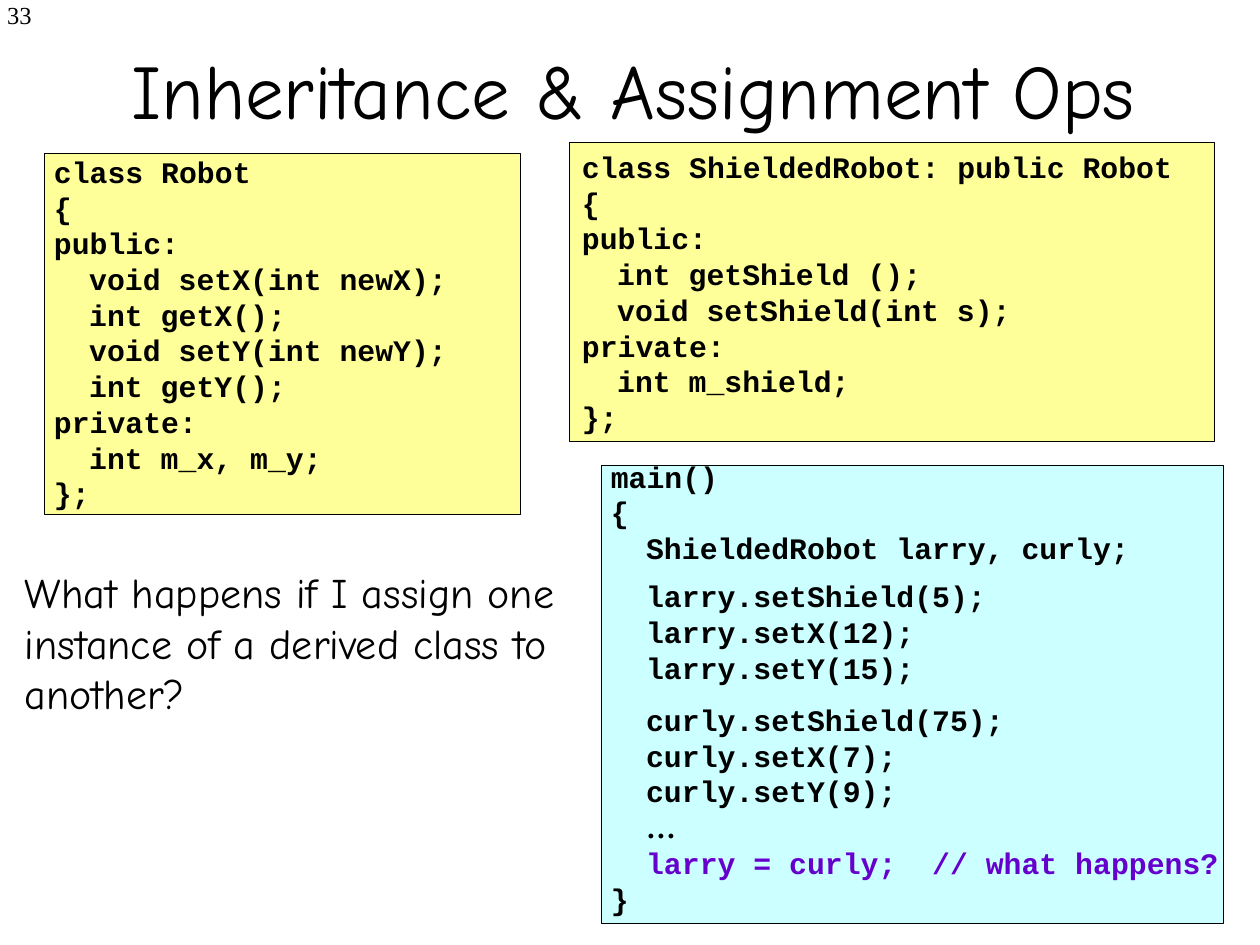
from dataclasses import dataclass

from pptx import Presentation
from pptx.dml.color import RGBColor
from pptx.enum import shapes, text
from pptx.util import Inches, Pt

HUES = {"ink": "000000", "class": "FFFF99", "main": "CCFFFF", "call": "6600CC"}
CODE, HAND, SERIF = "Courier New", "Comic Neue", "Times New Roman"
STEP = 0.28  # one code indent: two characters


@dataclass
class Line:
    words: str
    deep: int = 0
    gap: float = 0
    hue: str = "ink"
    font: str = CODE


@dataclass
class Panel:
    hue: str
    box: tuple
    area: tuple
    lines: list


def hue(name: str) -> RGBColor:
    return RGBColor.from_string(HUES[name])


def write(para, words: str, size: float, font: str,
          bold: bool = False, tint: str = "ink") -> None:
    run = para.add_run()
    run.text = words
    run.font.size, run.font.name, run.font.bold = Pt(size), font, bold
    run.font.color.rgb = hue(tint)


def label(home, area: tuple):
    frame = home.add_textbox(*map(Inches, area)).text_frame
    frame.word_wrap = True
    return frame


def code(frame, lines: list) -> None:
    for i, line in enumerate(lines):
        para = frame.add_paragraph() if i else frame.paragraphs[0]
        para.alignment = text.PP_ALIGN.LEFT
        para.space_before = Pt(line.gap)
        if line.deep:
            props = para._p.get_or_add_pPr()
            props.set("marL", str(Inches(STEP * line.deep)))
            props.set("indent", "0")
        write(para, line.words, 17, line.font, True, line.hue)


def draw(home, panel: Panel) -> None:
    rect = home.add_shape(shapes.MSO_SHAPE.RECTANGLE, *map(Inches, panel.box))
    rect.shadow.inherit = False
    rect.fill.solid()
    rect.fill.fore_color.rgb = hue(panel.hue)
    rect.line.color.rgb = hue("ink")
    rect.line.width = Pt(0.25)
    frame = label(home, panel.area) if panel.area else rect.text_frame
    code(frame, panel.lines)


deck = Presentation()
deck.slide_width, deck.slide_height = Inches(10), Inches(7.5)
slide = deck.slides.add_slide(deck.slide_layouts[5])

# Title
title = slide.shapes.title
title.left, title.top, title.width, title.height = map(
    Inches, (0.67, 0.08, 8.92, 1.25))
title.text_frame.vertical_anchor = text.MSO_ANCHOR.MIDDLE
head = title.text_frame.paragraphs[0]
head.alignment = text.PP_ALIGN.CENTER
write(head, "Inheritance & Assignment Ops ", 44, HAND)

# Page number
page = label(slide.shapes, (0, 0, 0.35, 0.3))
page.margin_left = page.margin_top = 0
page.paragraphs[0].alignment = text.PP_ALIGN.RIGHT
write(page.paragraphs[0], "33", 14, SERIF)

# Question
ask = label(slide.shapes, (0.1, 4.45, 4.6, 1.3))
write(ask.paragraphs[0], "What happens if I assign one instance of a "
      "derived class to another?", 24, HAND)

# Code panels
robot = Panel("class", (0.35, 1.22, 3.78, 2.86), (0.33, 1.17, 4.42, 2.93), [
    Line("class Robot"), Line("{"), Line("public:"),
    Line("void setX(int newX);", 1), Line("int getX();", 1),
    Line("void setY(int newY);", 1), Line("int getY();", 1),
    Line("private:"), Line("int m_x, m_y;", 1), Line("};")])
main = Panel("main", (4.77, 3.69, 4.94, 3.64), (4.75, 3.59, 5.34, 3.73), [
    Line("main()"), Line("{"), Line("ShieldedRobot larry, curly;", 1),
    Line("larry.setShield(5);", 1, 7), Line("larry.setX(12);", 1),
    Line("larry.setY(15);", 1),
    Line("curly.setShield(75);", 1, 9.5), Line("curly.setX(7);", 1),
    Line("curly.setY(9);", 1), Line("…", 1, font=SERIF),
    Line("larry = curly;  // what happens?", 1, hue="call"), Line("}")])
shield = Panel("class", (4.52, 1.13, 5.12, 2.37), (), [
    Line("class ShieldedRobot: public Robot"), Line("{"), Line("public:"),
    Line("int getShield ();", 1), Line("void setShield(int s);", 1),
    Line("private:"), Line("int m_shield;", 1), Line("};")])

for panel in (robot, main):
    draw(slide.shapes.add_group_shape().shapes, panel)
draw(slide.shapes, shield)

deck.save("out.pptx")
